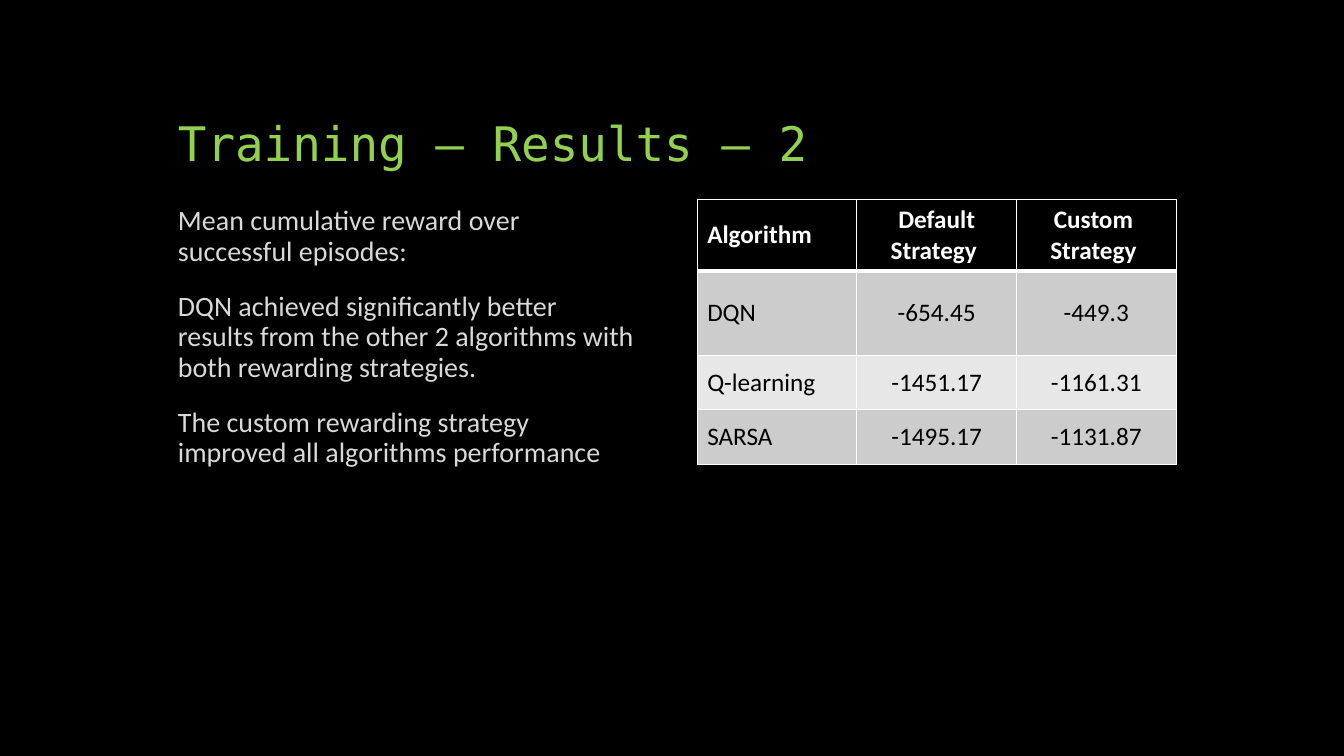
import pptx
import pptx.util
import pptx.dml.color
import pptx.enum.text
import pptx.oxml.ns
from lxml import etree

Cm, Pt = pptx.util.Cm, pptx.util.Pt
ALIGN = pptx.enum.text.PP_ALIGN
ANCHOR = pptx.enum.text.MSO_ANCHOR
qn = pptx.oxml.ns.qn

# Content
TITLE = "Training – Results – 2"
FINDINGS = [
    "Mean cumulative reward over successful episodes:",
    "DQN achieved significantly better results from the other 2 algorithms with both rewarding strategies.",
    "The custom rewarding strategy improved all algorithms performance",
]
REWARDS = [
    ("Algorithm", "Default\nStrategy ", "Custom \nStrategy "),
    ("DQN", "-654.45", "-449.3"),
    ("Q-learning", "-1451.17", "-1161.31"),
    ("SARSA", "-1495.17", "-1131.87"),
]
COLORS = {
    "black": "000000", "white": "FFFFFF", "title": "92D050",
    "body": "D9D9D9", "odd": "CCCCCC", "even": "E7E7E7",
}

# Layout
LEFT = Cm(4.23)
COLUMN_WIDTH = Cm(12.07)
TABLE_LEFT, TABLE_TOP = Cm(17.57), Cm(5.02)
ROW_HEIGHTS = [Cm(1.78), Cm(2.13), Cm(1.37), Cm(1.37)]


def rgb(name):
    return pptx.dml.color.RGBColor.from_string(COLORS[name])


def write(frame, text, size=18, color="black", font="Calibri", bold=False,
          align=ALIGN.LEFT, anchor=None, line=None, before=None):
    """Fill a text frame, one paragraph for each line of text."""
    frame.text = text
    if anchor is not None:
        frame.vertical_anchor = anchor
    for para in frame.paragraphs:
        para.alignment = align
        if line is not None:
            para.line_spacing = line
        if before is not None:
            para.space_before = Pt(before)
        for span in para.runs:
            span.font.size = Pt(size)
            span.font.name = font
            span.font.bold = bold
            span.font.color.rgb = rgb(color)


def place(box, left, top, width, height):
    box.left, box.top, box.width, box.height = left, top, width, height


def add_border(cell, side, points):
    edge = etree.SubElement(cell._tc.get_or_add_tcPr(), qn("a:ln" + side), w=str(Pt(points)))
    fill = etree.SubElement(edge, qn("a:solidFill"))
    etree.SubElement(fill, qn("a:srgbClr"), val=COLORS["white"])


# Page
deck = pptx.Presentation()
deck.slide_width, deck.slide_height = Cm(33.87), Cm(19.05)
page = deck.slides.add_slide(deck.slide_layouts[1])
page.background.fill.solid()
page.background.fill.fore_color.rgb = rgb("black")

# Title
title = page.shapes.title
place(title, LEFT, Cm(1.27), Cm(25.4), Cm(3.18))
write(title.text_frame, TITLE, size=34, color="title", font="DejaVu Sans Mono",
      anchor=ANCHOR.BOTTOM, line=0.9)

# Findings, without bullets
body = page.placeholders[1]
place(body, LEFT, Cm(5.08), COLUMN_WIDTH, Cm(11.86))
write(body.text_frame, "\n".join(FINDINGS), size=20, color="body",
      anchor=ANCHOR.TOP, line=0.9, before=18)
for para in body.text_frame.paragraphs:
    properties = para._p.get_or_add_pPr()
    properties.set("marL", "0")
    properties.set("indent", "0")
    etree.SubElement(properties, qn("a:buNone"))

# Reward table
table = page.shapes.add_table(len(REWARDS), len(REWARDS[0]), TABLE_LEFT, TABLE_TOP,
                              COLUMN_WIDTH, sum(ROW_HEIGHTS)).table
for row, height in zip(table.rows, ROW_HEIGHTS):
    row.height = height
for r, values in enumerate(REWARDS):
    header = r == 0
    fill_name = "black" if header else "odd" if r % 2 else "even"
    for c, value in enumerate(values):
        cell = table.cell(r, c)
        write(cell.text_frame, value, color="white" if header else "black", bold=header,
              align=ALIGN.CENTER if c else ALIGN.LEFT)
        cell.vertical_anchor = ANCHOR.MIDDLE
        for side, points in (("L", 1), ("R", 1), ("T", 3 if r == 1 else 1), ("B", 3 if header else 1)):
            add_border(cell, side, points)
        cell.fill.solid()
        cell.fill.fore_color.rgb = rgb(fill_name)

deck.save("out.pptx")
